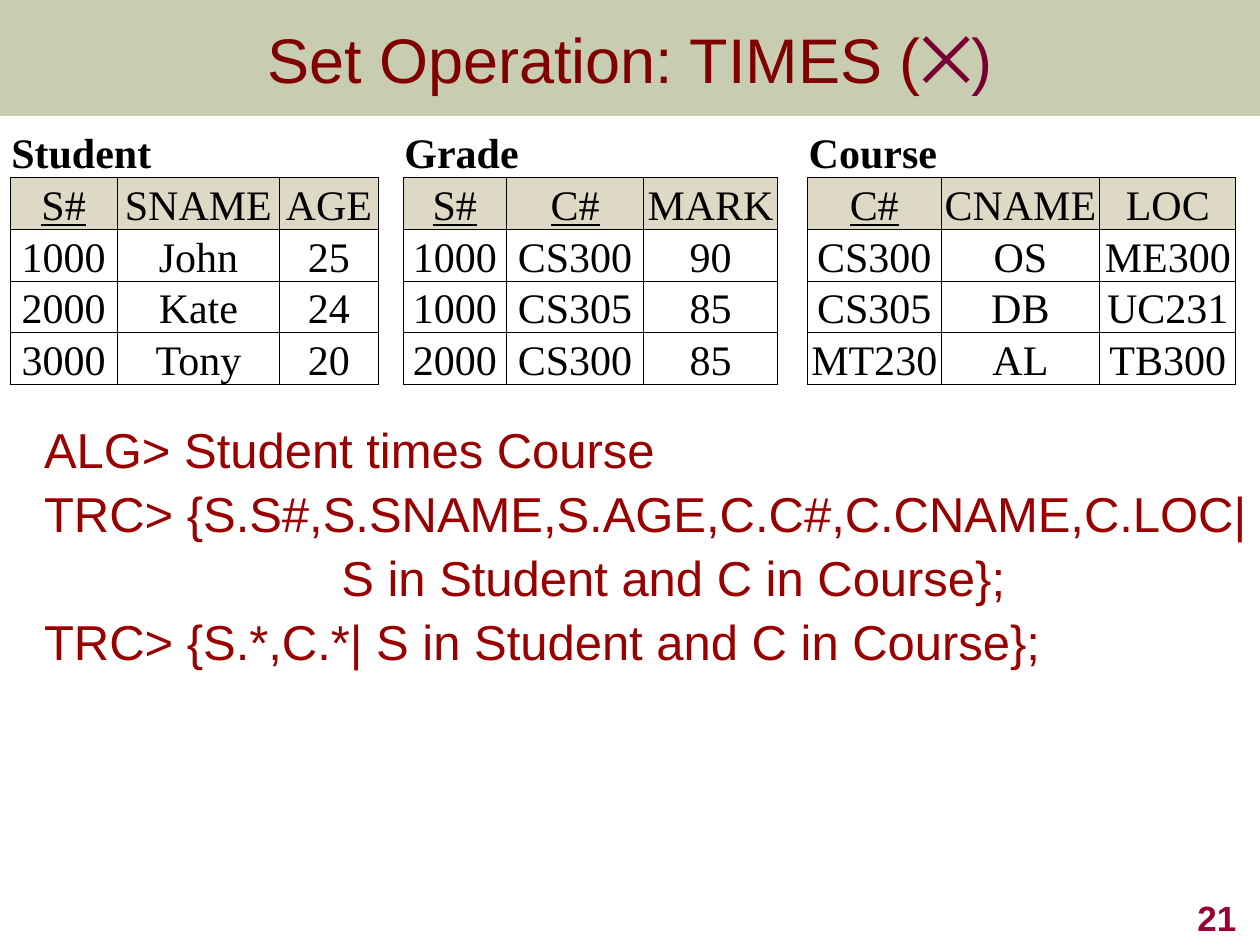
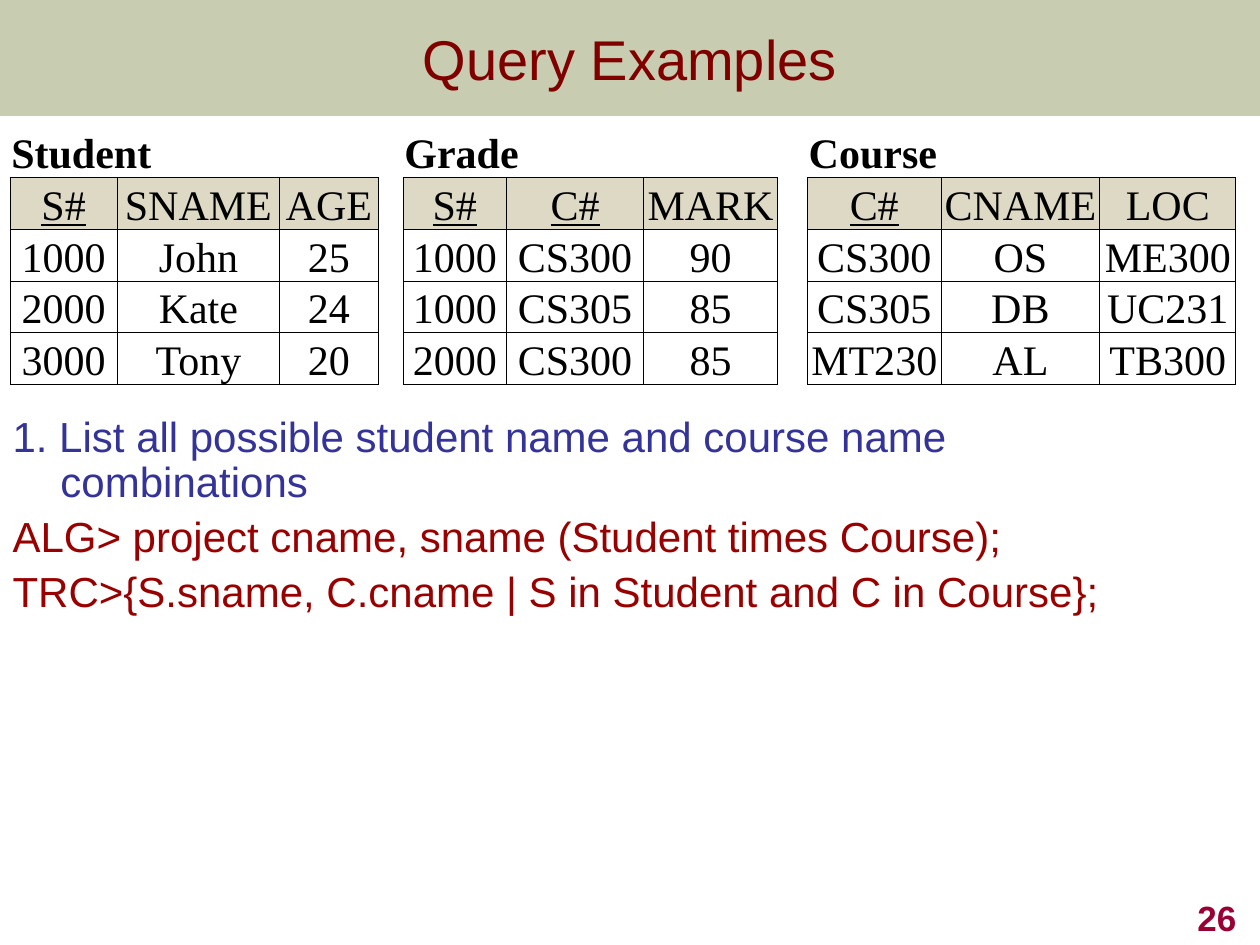
from dataclasses import dataclass
from lxml.etree import SubElement
from pptx import Presentation
from pptx.dml.color import RGBColor
from pptx.enum.shapes import MSO_SHAPE as Shape
from pptx.enum.text import MSO_ANCHOR as Anchor, MSO_AUTO_SIZE as AutoSize, PP_ALIGN as Align
from pptx.oxml import parse_xml
from pptx.oxml.ns import nsdecls, qn
from pptx.util import Inches, Pt

SANS, SERIF = "Arial", "Times New Roman"
OLIVE, MAROON, PLUM = "677228", "800000", "790033"
RED, BLUE, PAGE_RED = "990000", "333399", "990033"
BLACK, WHITE, SAND = "000000", "FFFFFF", "DDD9C4"
BAND_HEIGHT = 0.92
ROW_HEIGHT = 0.38
HANGING = (0.38, -0.38)
PLAIN_TABLE = "{2D5ABB26-0587-4C30-8999-92F81FD0307C}"


@dataclass
class Relation:
    name: str
    widths: tuple
    rows: tuple
    gap_after: float = 0


RELATIONS = (
    Relation("Student", (0.85, 1.29, 0.78),
             (("S#", "SNAME", "AGE"), ("1000", "John", "25"),
              ("2000", "Kate", "24"), ("3000", "Tony", "20")), 0.2),
    Relation("Grade", (0.82, 1.09, 1.06),
             (("S#", "C#", "MARK"), ("1000", "CS300", "90"),
              ("1000", "CS305", "85"), ("2000", "CS300", "85")), 0.24),
    Relation("Course", (1.06, 1.26, 1.08),
             (("C#", "CNAME", "LOC"), ("CS300", "OS", "ME300"),
              ("CS305", "DB", "UC231"), ("MT230", "AL", "TB300"))),
)


def color(hex_code):
    return RGBColor.from_string(hex_code)


def style(font, size, hex_code, name=SANS, bold=False):
    font.size, font.name, font.bold = Pt(size), name, bold
    font.color.rgb = color(hex_code)


def place(shape, box):
    shape.left, shape.top, shape.width, shape.height = map(Inches, box)


def add_band(slide, layout, box):
    band = slide.shapes.add_shape(Shape.RECTANGLE, *map(Inches, box))
    band.shadow.inherit = False
    band.line.fill.background()
    band.fill.solid()
    band.fill.fore_color.rgb = color(OLIVE)
    tint = band.fill._xPr.find(qn("a:solidFill"))[0]
    SubElement(tint, qn("a:alpha"), val="36000")
    layout.shapes._spTree.insert(2, band._element)


def fill_title(slide, box, size, pieces):
    title = slide.shapes.title
    place(title, box)
    title.text_frame.vertical_anchor = Anchor.MIDDLE
    heading = title.text_frame.paragraphs[0]
    heading.alignment = Align.CENTER
    for text, hex_code in pieces:
        run = heading.add_run()
        run.text = text
        style(run.font, size, hex_code)


def fill_body(slide, box, size, lines):
    body = slide.placeholders[1]
    place(body, box)
    frame = body.text_frame
    frame.auto_size = AutoSize.NONE
    frame.margin_right = 0
    frame.text = "\n".join(text for text, _, _ in lines)
    for paragraph, (_, hex_code, (margin, indent)) in zip(frame.paragraphs, lines):
        paragraph.line_spacing = 0.9
        paragraph.space_before = Pt(size * 0.23)
        style(paragraph.font, size, hex_code)
        properties = paragraph._p.get_or_add_pPr()
        properties.set("marL", str(Inches(margin)))
        properties.set("indent", str(Inches(indent)))
        properties.insert_element_before(
            parse_xml(f"<a:buNone {nsdecls('a')}/>"), "a:tabLst", "a:defRPr")


def add_page_number(slide, box, number):
    frame = slide.shapes.add_textbox(*map(Inches, box)).text_frame
    frame.word_wrap = True
    frame.vertical_anchor = Anchor.BOTTOM
    frame.text = str(number)
    frame.paragraphs[0].alignment = Align.RIGHT
    style(frame.paragraphs[0].font, 20, PAGE_RED, bold=True)


def outline(cell):
    properties = cell._tc.get_or_add_tcPr()
    for index, side in enumerate("LRTB"):
        properties.insert(index, parse_xml(
            f'<a:ln{side} {nsdecls("a")} w="{Pt(0.5)}"><a:solidFill>'
            f'<a:srgbClr val="{BLACK}"/></a:solidFill></a:ln{side}>'))


def write_cell(cell, text, bold=False):
    cell.text = text
    style(cell.text_frame.paragraphs[0].font, 24, BLACK, SERIF, bold)


def add_relations(slide, left, top):
    widths = []
    for relation in RELATIONS:
        widths += relation.widths
        if relation.gap_after:
            widths.append(relation.gap_after)
    row_count = len(RELATIONS[0].rows) + 1
    holder = slide.shapes.add_table(
        row_count, len(widths), Inches(left), Inches(top),
        Inches(sum(widths)), Inches(ROW_HEIGHT * row_count))
    table = holder.table
    table.first_row = table.horz_banding = False
    table._tbl.tblPr.find(qn("a:tableStyleId")).text = PLAIN_TABLE
    for column, width in zip(table.columns, widths):
        column.width = Inches(width)
    for row in table.rows:
        row.height = Inches(ROW_HEIGHT)
    for cell in table.iter_cells():
        cell.margin_left = cell.margin_right = cell.margin_top = Inches(0.01)
        cell.margin_bottom = 0
        cell.vertical_anchor = Anchor.BOTTOM
        cell.fill.solid()
        cell.fill.fore_color.rgb = color(WHITE)

    first = 0
    for relation in RELATIONS:
        span = len(relation.widths)
        caption = table.cell(0, first)
        caption.merge(table.cell(0, first + span - 1))
        write_cell(caption, relation.name, bold=True)
        for r, values in enumerate(relation.rows, 1):
            for c, value in enumerate(values, first):
                cell = table.cell(r, c)
                write_cell(cell, value)
                paragraph = cell.text_frame.paragraphs[0]
                paragraph.alignment = Align.CENTER
                if r == 1:
                    cell.fill.fore_color.rgb = color(SAND)
                    paragraph.font.underline = value.endswith("#")
                outline(cell)
        first += span + 1


def add_query_slide(deck, layout, number, title_size, title, body_box, body_size, lines):
    slide = deck.slides.add_slide(layout)
    fill_title(slide, (0, 0, 10, BAND_HEIGHT), title_size, title)
    fill_body(slide, body_box, body_size, lines)
    add_page_number(slide, (7.83, 7, 2.08, 0.5), number)
    add_relations(slide, 0.08, 1)
    return slide


deck = Presentation()
deck.slide_width, deck.slide_height = Inches(10), Inches(7.5)
layout = deck.slide_layouts[1]

times_slide = add_query_slide(
    deck, layout, 21, 36,
    [("Set Operation: TIMES (", MAROON), ("\u2a09)", PLUM)],
    (0.25, 3.33, 9.75, 3), 28,
    [("ALG> Student times Course", RED, HANGING),
     ("TRC> {S.S#,S.SNAME,S.AGE,C.C#,C.CNAME,C.LOC|", RED, HANGING),
     ("S in Student and C in Course};", RED, (2.36, 0)),
     ("TRC> {S.*,C.*| S in Student and C in Course};", RED, HANGING)])
add_band(times_slide, layout, (0, 0, 10, BAND_HEIGHT))

add_query_slide(
    deck, layout, 26, 32, [("Query Examples", MAROON)],
    (0, 3.25, 9.07, 2.67), 24,
    [("1. List all possible student name and course name combinations", BLUE, HANGING),
     ("ALG> project cname, sname (Student times Course);", RED, HANGING),
     ("TRC>{S.sname, C.cname | S in Student and C in Course};", RED, HANGING)])

deck.save("out.pptx")
